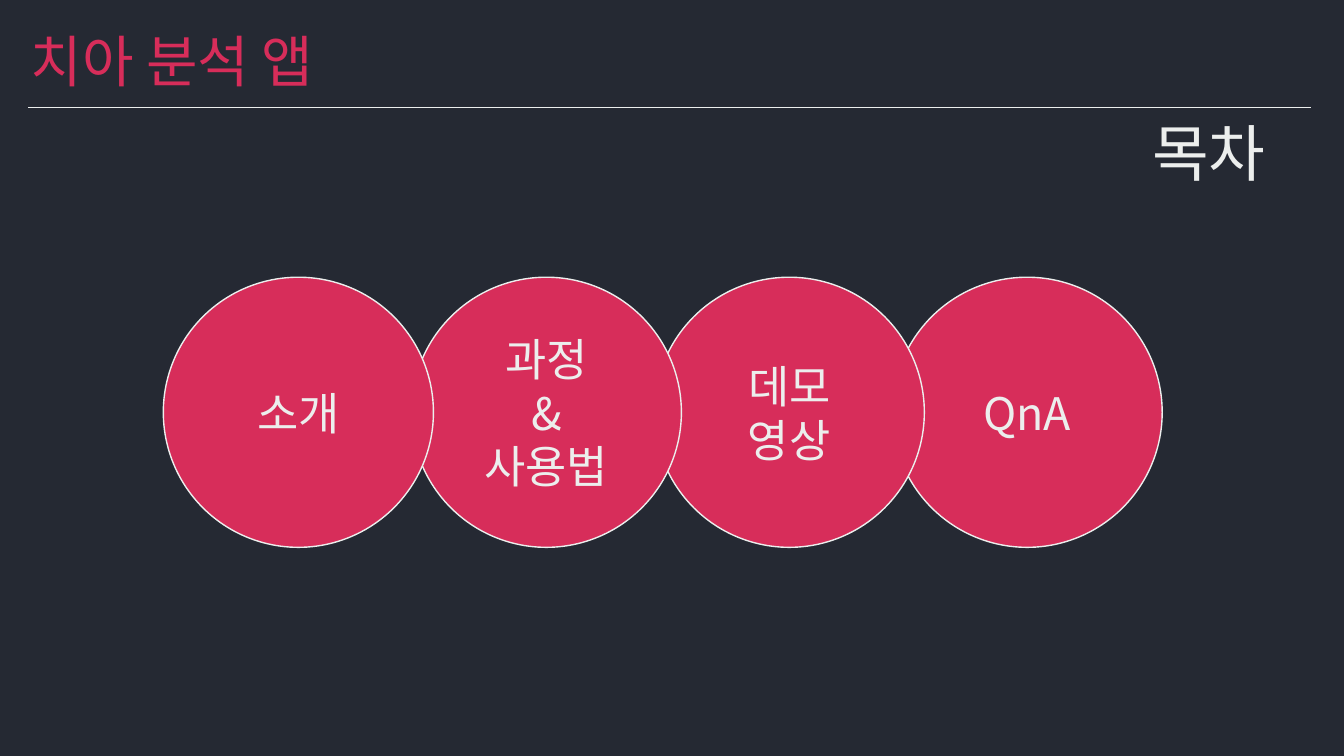
from lxml import etree
from pptx import Presentation
from pptx.dml.color import RGBColor
from pptx.enum import shapes, text
from pptx.oxml import ns
from pptx.util import Pt

FONT = "Noto Sans CJK KR"
NAVY, ROSE, WHITE = "252933", "D72D5A", "ECEEED"

# text, left, top, width, height, size, colour
HEADINGS = [
    ("목차", 790.56, 79.2, 146.16, 59.04, 44, WHITE),
    ("치아 분석 앱", 12.24, 11.52, 221.04, 62.64, 40, ROSE),
]
RULE_LEFT, RULE_RIGHT, RULE_TOP = 20.16, 936.72, 77.04

# lines of text, left edge
TOPICS = [
    (["소개"], 116.64),
    (["과정", "&", "사용법"], 293.76),
    (["데모 영상"], 467.28),
    (["QnA"], 637.2),
]
CIRCLE_TOP, CIRCLE_SIZE, TOPIC_SIZE = 198, 192.96, 32


def colour(hex_value):
    return RGBColor.from_string(hex_value)


def write(shape, lines, size, hex_value):
    frame = shape.text_frame
    frame.word_wrap = True
    frame.vertical_anchor = text.MSO_ANCHOR.MIDDLE
    for index, line in enumerate(lines):
        paragraph = frame.add_paragraph() if index else frame.paragraphs[0]
        paragraph.alignment = text.PP_ALIGN.CENTER
        run = paragraph.add_run()
        run.text = line
        run.font.size = Pt(size)
        run.font.color.rgb = colour(hex_value)
        run.font.name = FONT
        # Hangul takes its typeface from the East Asian font entry
        etree.SubElement(run.font._element, ns.qn("a:ea"), typeface=FONT)


def add_heading(slide, line, left, top, width, height, size, hex_value):
    box = slide.shapes.add_textbox(Pt(left), Pt(top), Pt(width), Pt(height))
    box.text_frame.margin_left = box.text_frame.margin_right = 0
    write(box, [line], size, hex_value)


def add_rule(slide):
    rule = slide.shapes.add_connector(
        shapes.MSO_CONNECTOR.STRAIGHT,
        Pt(RULE_LEFT), Pt(RULE_TOP), Pt(RULE_RIGHT), Pt(RULE_TOP))
    rule.line.color.rgb = colour(WHITE)
    rule.line.width = Pt(0.5)
    etree.SubElement(rule._element.spPr, ns.qn("a:effectLst"))


def add_topic(slide, lines, left):
    circle = slide.shapes.add_shape(
        shapes.MSO_SHAPE.OVAL,
        Pt(left), Pt(CIRCLE_TOP), Pt(CIRCLE_SIZE), Pt(CIRCLE_SIZE))
    circle.shadow.inherit = False
    circle.fill.solid()
    circle.fill.fore_color.rgb = colour(ROSE)
    circle.line.color.rgb = colour(WHITE)
    circle.line.width = Pt(1)
    write(circle, lines, TOPIC_SIZE, WHITE)


def main():
    presentation = Presentation()
    presentation.slide_width, presentation.slide_height = Pt(960), Pt(540)
    slide = presentation.slides.add_slide(presentation.slide_layouts[6])
    slide.background.fill.solid()
    slide.background.fill.fore_color.rgb = colour(NAVY)
    for heading in HEADINGS:
        add_heading(slide, *heading)
    add_rule(slide)
    # Each circle overlaps the one to its right, so the last goes in first
    for lines, left in reversed(TOPICS):
        add_topic(slide, lines, left)
    presentation.save("out.pptx")


if __name__ == "__main__":
    main()
